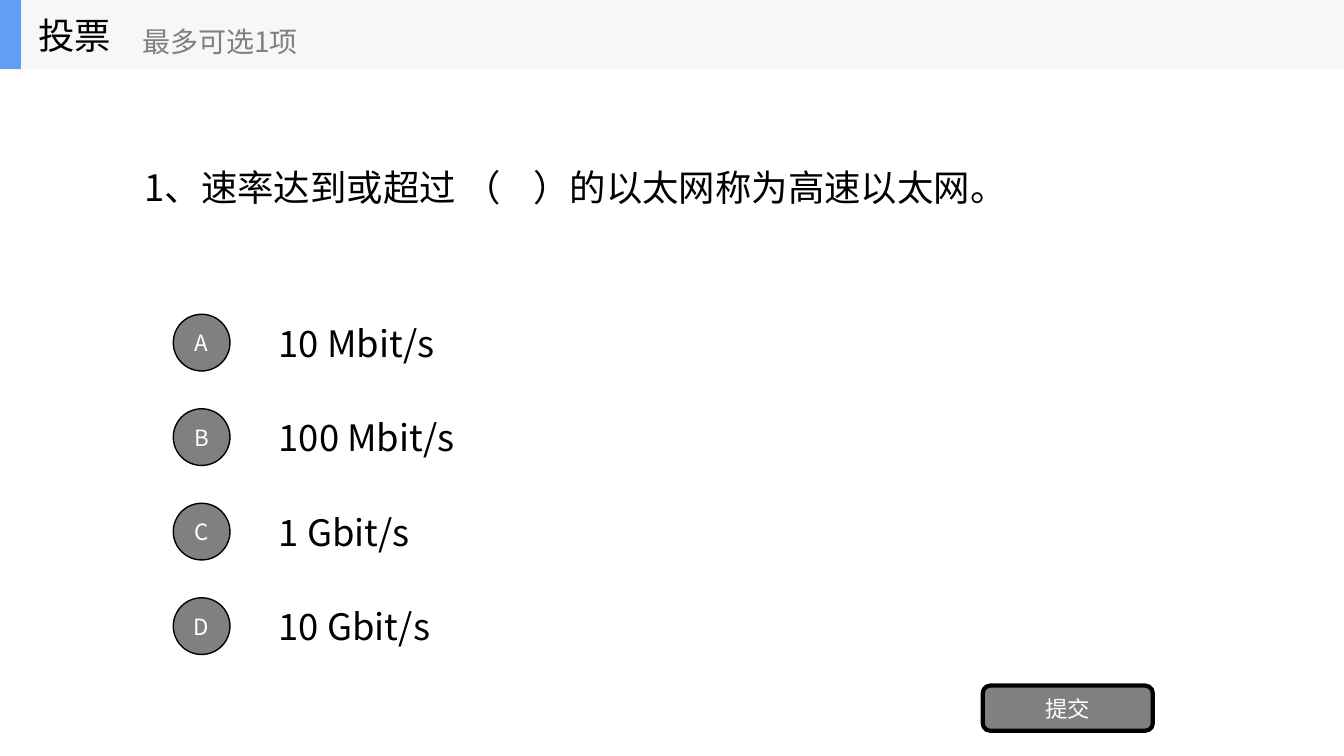
"""Build a single-choice poll slide on a grid of 128 columns by 72 rows."""
from dataclasses import dataclass
from typing import Any, Optional

from lxml.etree import SubElement
from pptx import Presentation
from pptx.dml.color import RGBColor
from pptx.enum.shapes import MSO_SHAPE as Shape
from pptx.enum.text import MSO_ANCHOR as Anchor, MSO_AUTO_SIZE as AutoSize, PP_ALIGN as Align
from pptx.oxml.ns import qn
from pptx.util import Inches, Pt

WIDTH, HEIGHT = Inches(13.333), Inches(7.5)
COLUMN, ROW = WIDTH / 128, HEIGHT / 72


@dataclass(frozen=True)
class Theme:
    font: str = "Noto Sans CJK SC"
    black: str = "000000"
    white: str = "FFFFFF"
    gray: str = "808080"
    band: str = "F6F7F8"
    accent: str = "639EF4"
    body: int = 26
    hint: int = 20
    button: int = 16


@dataclass(frozen=True)
class Box:
    col: float
    row: float
    cols: float
    rows: float

    def emu(self) -> dict[str, int]:
        return {
            "left": round(self.col * COLUMN),
            "top": round(self.row * ROW),
            "width": round(self.cols * COLUMN),
            "height": round(self.rows * ROW),
        }


@dataclass(frozen=True)
class Label:
    text: str
    size: int
    color: str
    align: Align = Align.LEFT


@dataclass(frozen=True)
class Panel:
    kind: Shape
    box: Box
    fill: str
    border: float = 0
    label: Optional[Label] = None


THEME = Theme()
HEADER_ROWS = 6.6
QUESTION = "1、速率达到或超过 （    ）的以太网称为高速以太网。"
OPTIONS = {"A": "10 Mbit/s", "B": "100 Mbit/s", "C": "1 Gbit/s", "D": "10 Gbit/s"}
FIRST_CENTER, OPTION_PITCH = 32.63, 9
OPTION_ROWS, BADGE = 6.7, 5.4


def write(sp: Any, label: Label) -> None:
    tf = sp.text_frame
    frame_format = {"word_wrap": True, "auto_size": AutoSize.NONE, "vertical_anchor": Anchor.MIDDLE}
    for name, value in frame_format.items():
        setattr(tf, name, value)
    p = tf.paragraphs[0]
    p.alignment = label.align
    r = p.add_run()
    r.text = label.text
    for name, value in {"name": THEME.font, "size": Pt(label.size)}.items():
        setattr(r.font, name, value)
    r.font.color.rgb = RGBColor.from_string(label.color)
    SubElement(r.font._element, qn("a:ea"), typeface=THEME.font)


def add_text(shapes: Any, box: Box, label: Label) -> None:
    write(shapes.add_textbox(**box.emu()), label)


def add_panel(shapes: Any, panel: Panel) -> None:
    sp = shapes.add_shape(panel.kind, **panel.box.emu())
    sp.shadow.inherit = False
    sp.fill.solid()
    sp.fill.fore_color.rgb = RGBColor.from_string(panel.fill)
    if panel.border:
        sp.line.width = Pt(panel.border)
        sp.line.color.rgb = RGBColor.from_string(THEME.black)
    else:
        sp.line.fill.background()
    if panel.label:
        write(sp, panel.label)


def add_button(shapes: Any, kind: Shape, box: Box, text: str, border: float) -> None:
    label = Label(text, THEME.button, THEME.white, Align.CENTER)
    add_panel(shapes, Panel(kind, box, THEME.gray, border, label))


def add_question(s: Any) -> None:
    sp = s.shapes.title
    for name, value in Box(12.8, HEADER_ROWS, 102.4, 22.5).emu().items():
        setattr(sp, name, value)
    write(sp, Label(QUESTION, THEME.body, THEME.black))


def add_options(shapes: Any) -> None:
    for i, (letter, answer) in enumerate(OPTIONS.items()):
        center = FIRST_CENTER + i * OPTION_PITCH
        add_text(shapes, Box(25.6, center - OPTION_ROWS / 2, 89.6, OPTION_ROWS),
                 Label(answer, THEME.body, THEME.black))
        add_button(shapes, Shape.OVAL, Box(16.5, center - BADGE / 2, BADGE, BADGE), letter, 1)


def add_header(shapes: Any) -> None:
    for cols, fill in ((128, THEME.band), (2, THEME.accent)):
        add_panel(shapes, Panel(Shape.RECTANGLE, Box(0, 0, cols, HEADER_ROWS), fill))
    add_text(shapes, Box(2.7, 0, 20, HEADER_ROWS), Label("投票", THEME.body, THEME.black))
    add_text(shapes, Box(12.6, 1.2, 24, 5.4), Label("最多可选1项", THEME.hint, THEME.gray))


def main() -> None:
    prs = Presentation()
    prs.slide_width, prs.slide_height = WIDTH, HEIGHT
    s = prs.slides.add_slide(prs.slide_layouts[5])
    add_question(s)
    add_options(s.shapes)
    add_button(s.shapes, Shape.ROUNDED_RECTANGLE, Box(93.6, 65.3, 16.2, 4.3), "提交", 3)
    add_header(s.shapes.add_group_shape().shapes)
    prs.save("out.pptx")


if __name__ == "__main__":
    main()
